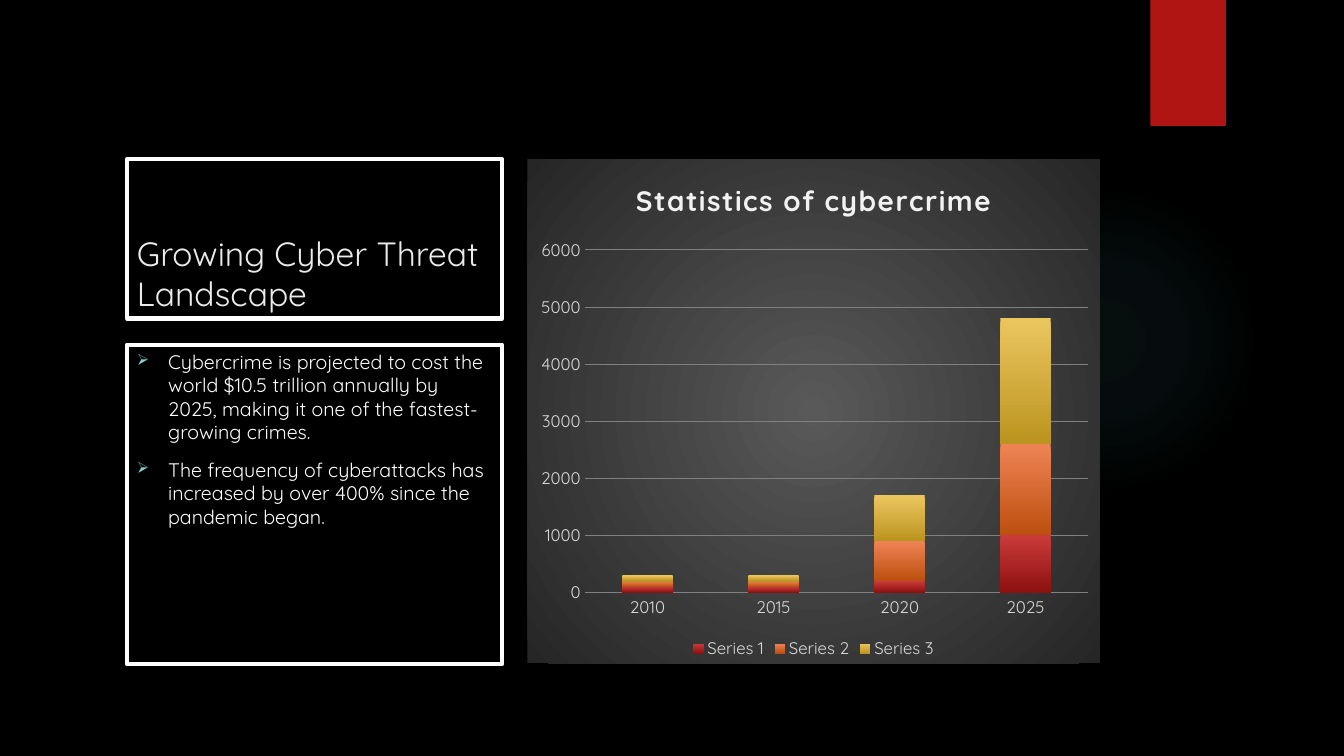
from pptx import Presentation
from pptx.chart.data import CategoryChartData as ChartData
from pptx.dml.color import RGBColor as RGB
from pptx.enum.chart import XL_CHART_TYPE as KIND, XL_LEGEND_POSITION as POS
from pptx.enum.chart import XL_TICK_MARK as TICK
from pptx.enum.shapes import MSO_SHAPE as SHAPE
from pptx.enum.text import MSO_ANCHOR as ANCHOR
from pptx.oxml import parse_xml
from pptx.oxml.ns import nsdecls, qn
from pptx.util import Inches, Pt

FONT = "Quicksand"
COLORS = {
    "back": "000000", "glow": "50B9C1", "flag": "B01513", "white": "FFFFFF",
    "title": "EBEBEB", "bullet": "8AD0D6", "label": "D9D9D9", "grid": "808080",
    "head": "F2F2F2", "inner": "595959", "outer": "262626",
}
YEARS = ["2010", "2015", "2020", "2025"]
SERIES = [
    ("Series 1", (100, 100, 200, 1000), "C93B3A", "8D110F"),
    ("Series 2", (100, 100, 700, 1600), "EE8455", "BC4F0E"),
    ("Series 3", (100, 100, 800, 2200), "EBC65F", "BB941F"),
]
POINTS = [
    "Cybercrime is projected to cost the world $10.5 trillion annually by 2025, "
    "making it one of the fastest-growing crimes.",
    "The frequency of cyberattacks has increased by over 400% since the "
    "pandemic began.",
]


def tint(name):
    return RGB.from_string(COLORS[name])


def style(font, size, color, bold=False):
    font.name, font.size, font.bold = FONT, Pt(size), bold
    font.color.rgb = tint(color)


def blend(props, stops, radial=False):
    """Swap the empty fill for a gradient of (place, colour, opacity) stops."""
    marks = "".join(
        f'<a:gs pos="{at * 1000}"><a:srgbClr val="{color}">'
        f'<a:alpha val="{alpha * 1000}"/></a:srgbClr></a:gs>'
        for at, color, alpha in stops)
    way = ('<a:path path="circle"><a:fillToRect l="50000" t="50000" r="50000" '
           'b="50000"/></a:path>' if radial else '<a:lin ang="5400000" scaled="0"/>')
    fill = parse_xml(f'<a:gradFill {nsdecls("a")} rotWithShape="1">'
                     f'<a:gsLst>{marks}</a:gsLst>{way}</a:gradFill>')
    props.replace(props.find(qn("a:noFill")), fill)


def add_form(slide, kind, *place):
    form = slide.shapes.add_shape(kind, *map(Inches, place))
    form.shadow.inherit = False
    form.fill.background()
    form.line.fill.background()
    return form


def add_glow(slide):
    glow = add_form(slide, SHAPE.OVAL, 9.41, 1.83, 3.08, 3.08)
    color = COLORS["glow"]
    blend(glow._element.spPr, [(0, color, 7), (36, color, 6), (69, color, 0)], True)


def add_flag(slide):
    flag = add_form(slide, SHAPE.RECTANGLE, 11.41, 0, 0.75, 1.25)
    flag.fill.solid()
    flag.fill.fore_color.rgb = tint("flag")
    flag._element.spPr.find(qn("a:effectLst")).append(parse_xml(
        f'<a:outerShdw {nsdecls("a")} blurRad="{Pt(3)}" dist="{Pt(2)}" dir="5400000">'
        '<a:srgbClr val="000000"><a:alpha val="45000"/></a:srgbClr></a:outerShdw>'))


def add_panel(slide, top, height, anchor):
    box = slide.shapes.add_textbox(*map(Inches, (1.26, top, 3.72, height)))
    box.line.color.rgb = tint("white")
    box.line.width = Pt(3)
    frame = box.text_frame
    frame.word_wrap = True
    frame.vertical_anchor = anchor
    return frame


def add_text(para, text, size, color):
    run = para.add_run()
    run.text = text
    style(run.font, size, color)


def add_bullet(para):
    props = para._p.get_or_add_pPr()
    props.set("marL", str(Inches(0.31)))
    props.set("indent", str(-Inches(0.31)))
    for part in (f'<a:buClr {nsdecls("a")}><a:srgbClr val="{COLORS["bullet"]}"/></a:buClr>',
                 f'<a:buSzPct {nsdecls("a")} val="80000"/>',
                 f'<a:buChar {nsdecls("a")} char="➢"/>'):
        props.append(parse_xml(part))


def add_points(slide):
    frame = add_panel(slide, 3.42, 3.17, ANCHOR.TOP)
    for i, text in enumerate(POINTS):
        para = frame.add_paragraph() if i else frame.paragraphs[0]
        if i:
            para.space_before = Pt(10)
        add_bullet(para)
        add_text(para, text, 14, "white")


def set_axis(axis):
    axis.major_tick_mark = axis.minor_tick_mark = TICK.NONE
    axis.format.line.fill.background()
    style(axis.tick_labels.font, 12, "label")


def add_chart(slide):
    data = ChartData()
    data.categories = YEARS
    for name, values, *_ in SERIES:
        data.add_series(name, values)
    chart = slide.shapes.add_chart(
        KIND.COLUMN_STACKED, *map(Inches, (5.23, 1.58, 5.68, 5)), data).chart
    style(chart.font, 10, "white")

    # Title
    chart.has_title = True
    run = chart.chart_title.text_frame.paragraphs[0].add_run()
    run.text = "Statistics of cybercrime"
    style(run.font, 20, "head", True)
    run._r.get_or_add_rPr().set("spc", "100")
    chart.chart_title.include_in_layout = False

    # Legend
    chart.has_legend = True
    chart.legend.position = POS.BOTTOM
    chart.legend.include_in_layout = False
    style(chart.legend.font, 12, "label")

    # Axes
    set_axis(chart.category_axis)
    axis = chart.value_axis
    set_axis(axis)
    axis.minimum_scale, axis.maximum_scale, axis.major_unit = 0, 6000, 1000
    axis.has_major_gridlines = True
    grid = axis.major_gridlines.format.line
    grid.color.rgb, grid.width = tint("grid"), Pt(0.75)

    # Columns
    plot = chart.plots[0]
    plot.gap_width, plot.overlap, plot.vary_by_categories = 150, 100, False
    for row, (_, _, top, low) in zip(plot.series, SERIES):
        row.format.fill.background()
        blend(row._element.spPr, [(0, top, 100), (100, low, 100)])

    # Plot area place and backdrop
    space = chart._chartSpace
    area = space.chart.plotArea
    for old in area.findall(qn("c:layout")):
        area.remove(old)
    spots = "".join(f'<c:{key} val="{val}"/>' for key, val in (
        ("layoutTarget", "inner"), ("xMode", "edge"), ("yMode", "edge"),
        ("x", 0.1), ("y", 0.18), ("w", 0.88), ("h", 0.68)))
    area.insert(0, parse_xml(f'<c:layout {nsdecls("c")}><c:manualLayout>{spots}'
                             '</c:manualLayout></c:layout>'))
    props = parse_xml(f'<c:spPr {nsdecls("c", "a")}><a:noFill/>'
                      '<a:ln><a:noFill/></a:ln></c:spPr>')
    blend(props, [(0, COLORS["inner"], 100), (100, COLORS["outer"], 100)], True)
    space.chart.addnext(props)


def main():
    deck = Presentation()
    deck.slide_width, deck.slide_height = Inches(13.33), Inches(7.5)
    slide = deck.slides.add_slide(deck.slide_layouts[6])
    slide.background.fill.solid()
    slide.background.fill.fore_color.rgb = tint("back")
    add_glow(slide)
    add_flag(slide)
    title = add_panel(slide, 1.58, 1.58, ANCHOR.BOTTOM)
    add_text(title.paragraphs[0], "Growing Cyber Threat Landscape", 24, "title")
    add_chart(slide)
    add_points(slide)
    deck.save("out.pptx")


if __name__ == "__main__":
    main()
